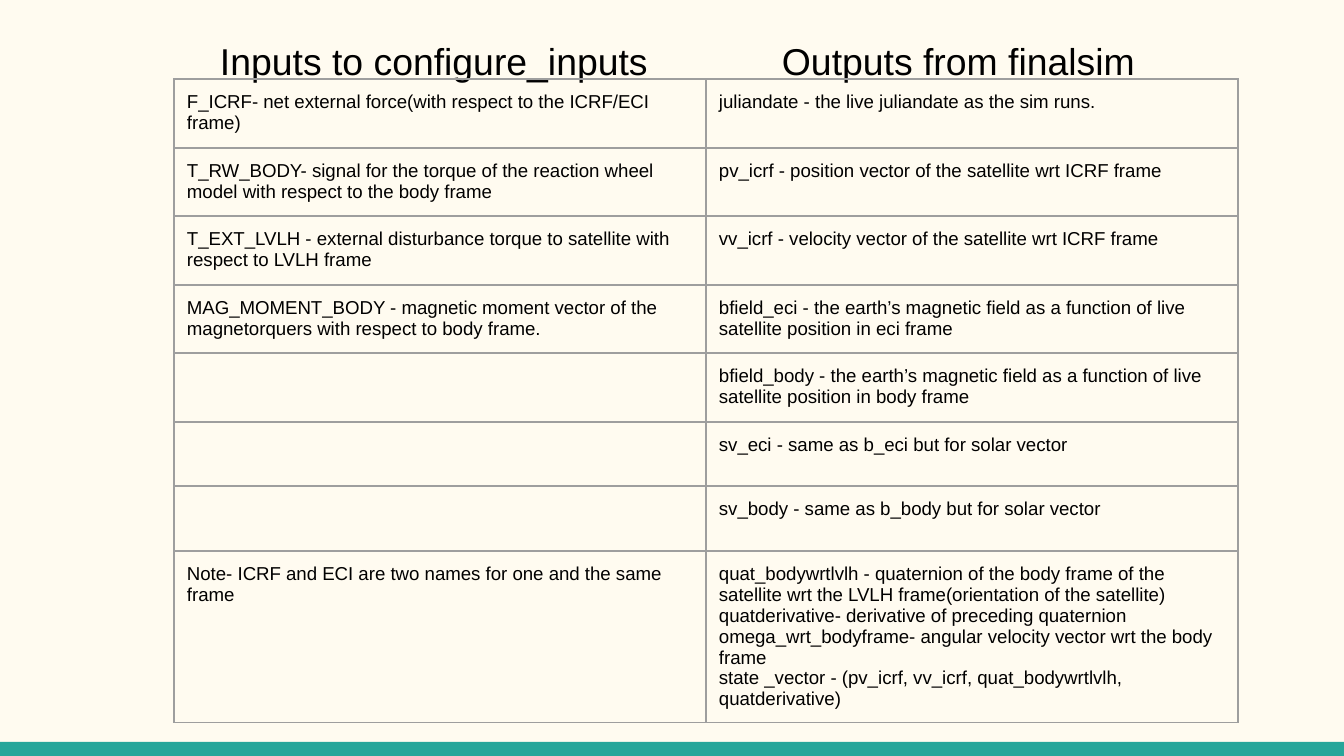
"""Build a slide listing simulation inputs and outputs side by side."""
from dataclasses import dataclass

from lxml import etree
from pptx import Presentation
from pptx.dml.color import RGBColor
from pptx.enum.shapes import MSO_SHAPE
from pptx.enum.text import MSO_ANCHOR, MSO_AUTO_SIZE, PP_ALIGN
from pptx.oxml.ns import qn
from pptx.slide import Slide
from pptx.table import _Cell
from pptx.util import Emu, Pt

RECTANGLE = MSO_SHAPE.RECTANGLE
TOP = MSO_ANCHOR.TOP
LEFT = PP_ALIGN.LEFT
NO_AUTOFIT = MSO_AUTO_SIZE.NONE
TITLE_ONLY = 5
EMU_PER_PX = 914400 / 134.4


@dataclass(frozen=True)
class Theme:
    font: str = "Arial"
    background: str = "FFFBF0"
    accent: str = "26A69A"
    ink: str = "000000"
    border: str = "9E9E9E"
    heading_size: int = 20
    body_size: int = 10
    border_width: float = 0.75


@dataclass(frozen=True)
class Box:
    left: int
    top: int
    width: int
    height: int


@dataclass(frozen=True)
class SignalRow:
    height: int
    input_text: str
    output_text: str


THEME = Theme()
PAGE = Box(0, 0, 1344, 756)
FOOTER = Box(0, 742, 1344, 14)
HEADING = Box(46, 25, 1252, 54)
HEADING_INDENT = 174
OUTPUT_HEADING_TAB = 562
TABLE_LEFT, TABLE_TOP, COLUMN_WIDTH = 174, 79, 532
INSET = 13

HEADINGS = ("Inputs to configure_inputs", "Outputs from finalsim")
SIGNALS = (
    SignalRow(69, "F_ICRF- net external force(with respect to the ICRF/ECI frame)",
              "juliandate - the live juliandate as the sim runs."),
    SignalRow(68, "T_RW_BODY- signal for the torque of the reaction wheel model "
                  "with respect to the body frame",
              "pv_icrf - position vector of the satellite wrt ICRF frame"),
    SignalRow(69, "T_EXT_LVLH - external disturbance torque to satellite with "
                  "respect to LVLH frame",
              "vv_icrf - velocity vector of the satellite wrt ICRF frame"),
    SignalRow(68, "MAG_MOMENT_BODY - magnetic moment vector of the magnetorquers "
                  "with respect to body frame.",
              "bfield_eci - the earth’s magnetic field as a function of live "
              "satellite position in eci frame"),
    SignalRow(69, "", "bfield_body - the earth’s magnetic field as a function of live "
                      "satellite position in body frame"),
    SignalRow(64, "", "sv_eci - same as b_eci but for solar vector"),
    SignalRow(65, "", "sv_body - same as b_body but for solar vector"),
    SignalRow(172, "Note- ICRF and ECI are two names for one and the same frame",
              "quat_bodywrtlvlh - quaternion of the body frame of the satellite "
              "wrt the LVLH frame(orientation of the satellite)\n"
              "quatderivative- derivative of preceding quaternion\n"
              "omega_wrt_bodyframe- angular velocity vector wrt the body frame\n"
              "state _vector - (pv_icrf, vv_icrf, quat_bodywrtlvlh, quatderivative)"),
)


def px(length: int) -> Emu:
    return Emu(round(length * EMU_PER_PX))


def rgb(color: str) -> RGBColor:
    return RGBColor.from_string(color)


def format_paragraphs(frame, size: int) -> None:
    for paragraph in frame.paragraphs:
        paragraph.alignment = LEFT
        paragraph.font.name = THEME.font
        paragraph.font.size = Pt(size)
        paragraph.font.color.rgb = rgb(THEME.ink)


def draw_footer(slide: Slide) -> None:
    footer = slide.shapes.add_shape(
        RECTANGLE, px(FOOTER.left), px(FOOTER.top), px(FOOTER.width), px(FOOTER.height))
    footer.shadow.inherit = False
    footer.fill.solid()
    footer.fill.fore_color.rgb = rgb(THEME.accent)
    footer.line.fill.background()


def draw_headings(slide: Slide) -> None:
    title = slide.shapes.title
    title.left, title.top = px(HEADING.left), px(HEADING.top)
    title.width, title.height = px(HEADING.width), px(HEADING.height)
    frame = title.text_frame
    frame.text = "\t".join(HEADINGS)
    frame.auto_size = NO_AUTOFIT
    frame.vertical_anchor = TOP
    frame.margin_left = px(HEADING_INDENT)
    frame.margin_top = frame.margin_right = frame.margin_bottom = px(INSET)
    properties = frame.paragraphs[0]._p.get_or_add_pPr()
    tabs = etree.SubElement(properties, qn("a:tabLst"))
    etree.SubElement(tabs, qn("a:tab"), pos=str(px(OUTPUT_HEADING_TAB)), algn="l")
    format_paragraphs(frame, THEME.heading_size)


def draw_borders(cell: _Cell) -> None:
    properties = cell._tc.get_or_add_tcPr()
    for position, side in enumerate(("a:lnL", "a:lnR", "a:lnT", "a:lnB")):
        line = etree.Element(qn(side), w=str(Pt(THEME.border_width)))
        fill = etree.SubElement(line, qn("a:solidFill"))
        etree.SubElement(fill, qn("a:srgbClr"), val=THEME.border)
        properties.insert(position, line)


def fill_cell(cell: _Cell, text: str) -> None:
    cell.text = text
    cell.fill.background()
    cell.vertical_anchor = TOP
    cell.margin_left = cell.margin_right = px(INSET)
    cell.margin_top = cell.margin_bottom = px(INSET)
    format_paragraphs(cell.text_frame, THEME.body_size)
    draw_borders(cell)


def draw_signals(slide: Slide) -> None:
    total_height = sum(signal.height for signal in SIGNALS)
    table = slide.shapes.add_table(
        len(SIGNALS), len(HEADINGS), px(TABLE_LEFT), px(TABLE_TOP),
        px(COLUMN_WIDTH * len(HEADINGS)), px(total_height)).table
    table.first_row = table.horz_banding = False
    for column in table.columns:
        column.width = px(COLUMN_WIDTH)
    for row, signal in zip(table.rows, SIGNALS):
        row.height = px(signal.height)
        for cell, text in zip(row.cells, (signal.input_text, signal.output_text)):
            fill_cell(cell, text)


def main() -> None:
    presentation = Presentation()
    presentation.slide_width = px(PAGE.width)
    presentation.slide_height = px(PAGE.height)
    slide = presentation.slides.add_slide(presentation.slide_layouts[TITLE_ONLY])
    slide.background.fill.solid()
    slide.background.fill.fore_color.rgb = rgb(THEME.background)
    draw_footer(slide)
    draw_headings(slide)
    draw_signals(slide)
    presentation.save("out.pptx")


if __name__ == "__main__":
    main()
